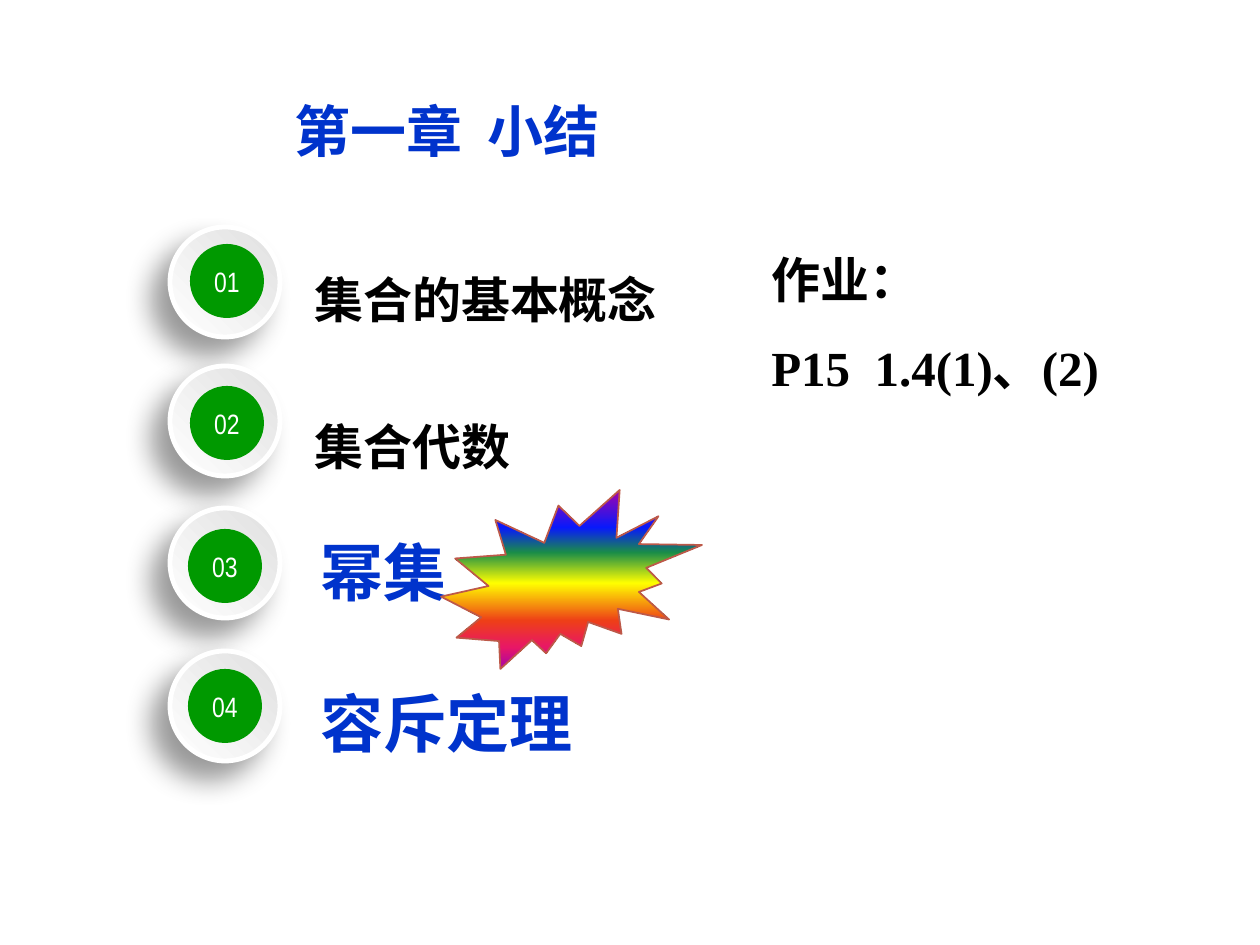
from lxml import etree
from pptx import Presentation
from pptx.dml.color import RGBColor
from pptx.enum.shapes import MSO_SHAPE as Preset
from pptx.enum.text import MSO_ANCHOR as Anchor, PP_ALIGN as Align
from pptx.oxml import parse_xml
from pptx.oxml.ns import nsdecls, qn
from pptx.util import Emu, Pt

PX = 914400 / 126
HAN, SERIF, NARROW = "Noto Sans CJK SC", "Times New Roman", "Arial Narrow"
BLUE, BLACK, GREEN, WHITE = "0033CC", "000000", "009900", "FFFFFF"

# Text blocks: box in px, lines, size, font, colour, line spacing, anchor
TEXTS = [
    ((282, 55, 615, 158), ["第一章  小结"], 32, HAN, BLUE, 0.9, Anchor.MIDDLE),
    ((302, 175, 490, 310), ["集合的基本概念", "集合代数"], 28, HAN, BLACK, 2.5, Anchor.TOP),
    ((759, 214, 357, 190), ["作业：", "P15  1.4(1)、(2)"], 28, SERIF, BLACK, 1.5, Anchor.TOP),
    ((308, 452, 402, 318), ["幂集", "容斥定理"], 36, HAN, BLUE, 2, Anchor.TOP),
]

# Number badges: label, ring top, dot left, dot top
RING_LEFT, RING_SIZE, DOT_SIZE = 170, 110, 74
BADGES = [("01", 227, 190, 244), ("02", 366, 190, 386),
          ("03", 508, 188, 529), ("04", 651, 188, 669)]
RING_STOPS = [(0, "E0E0E0"), (100, "FFFFFF")]

BURST_BOX = (441, 490, 261, 179)
BURST_STOPS = [(0, "A603AB"), (21, "0819FB"), (35, "1A8D48"), (52, "FFFF00"),
               (73, "EE3F17"), (88, "E81766"), (100, "A603AB")]


def px(*values):
    return [Emu(round(value * PX)) for value in values]


def color(value):
    return RGBColor.from_string(value)


def add_span(para, text, size, font, fill, bold=False):
    span = para.add_run()
    span.text = text
    span.font.size, span.font.name, span.font.bold = Pt(size), font, bold
    span.font.color.rgb = color(fill)
    east = etree.SubElement(span.font._element, qn("a:ea"))
    east.set("typeface", HAN)


def add_text(slide, box, lines, size, font, fill, spacing, anchor):
    frame = slide.shapes.add_textbox(*px(*box)).text_frame
    frame.word_wrap = True
    frame.vertical_anchor = anchor
    for index, line in enumerate(lines):
        para = frame.add_paragraph() if index else frame.paragraphs[0]
        para.line_spacing = spacing
        add_span(para, line, size, font, fill, bold=True)


def add_shape(slide, preset, box, line=None, width=0):
    shape = slide.shapes.add_shape(preset, *px(*box))
    shape.shadow.inherit = False
    if line:
        shape.line.color.rgb = color(line)
        shape.line.width = Pt(width)
    else:
        shape.line.fill.background()
    return shape


def set_gradient(shape, stops, angle):
    marks = "".join(f'<a:gs pos="{pos * 1000}"><a:srgbClr val="{value}"/></a:gs>'
                    for pos, value in stops)
    shape._element.spPr.find(qn("a:prstGeom")).addnext(parse_xml(
        f'<a:gradFill {nsdecls("a")} rotWithShape="1"><a:gsLst>{marks}</a:gsLst>'
        f'<a:lin ang="{angle * 60000}" scaled="0"/></a:gradFill>'))


def set_shadow(shape, value, opacity, blur, distance, angle):
    effects = shape._element.spPr.find(qn("a:effectLst"))
    effects.append(parse_xml(
        f'<a:outerShdw {nsdecls("a")} blurRad="{Pt(blur)}" dist="{Pt(distance)}" '
        f'dir="{angle * 60000}" algn="tr" rotWithShape="0"><a:srgbClr val="{value}">'
        f'<a:alpha val="{opacity * 1000}"/></a:srgbClr></a:outerShdw>'))


def add_badge(slide, label, ring_top, dot_left, dot_top):
    ring = add_shape(slide, Preset.OVAL, (RING_LEFT, ring_top, RING_SIZE, RING_SIZE), WHITE, 2.75)
    set_gradient(ring, RING_STOPS, 135)
    set_shadow(ring, BLACK, 40, 16, 14, 135)

    dot = add_shape(slide, Preset.OVAL, (dot_left, dot_top, DOT_SIZE, DOT_SIZE))
    dot.fill.solid()
    dot.fill.fore_color.rgb = color(GREEN)
    frame = dot.text_frame
    frame.margin_left = frame.margin_right = frame.margin_top = frame.margin_bottom = 0
    frame.vertical_anchor = Anchor.MIDDLE
    frame.paragraphs[0].alignment = Align.CENTER
    add_span(frame.paragraphs[0], label, 16, NARROW, WHITE)


deck = Presentation()
deck.slide_width, deck.slide_height = px(1260, 945)
page = deck.slides.add_slide(deck.slide_layouts[6])

# Title, topics and homework
for text in TEXTS:
    add_text(page, *text)

# Numbered badges
for badge in BADGES:
    add_badge(page, *badge)

# Rainbow burst
burst = add_shape(page, Preset.EXPLOSION2, BURST_BOX, "BD5949", 1)
set_gradient(burst, BURST_STOPS, 90)

deck.save("out.pptx")
